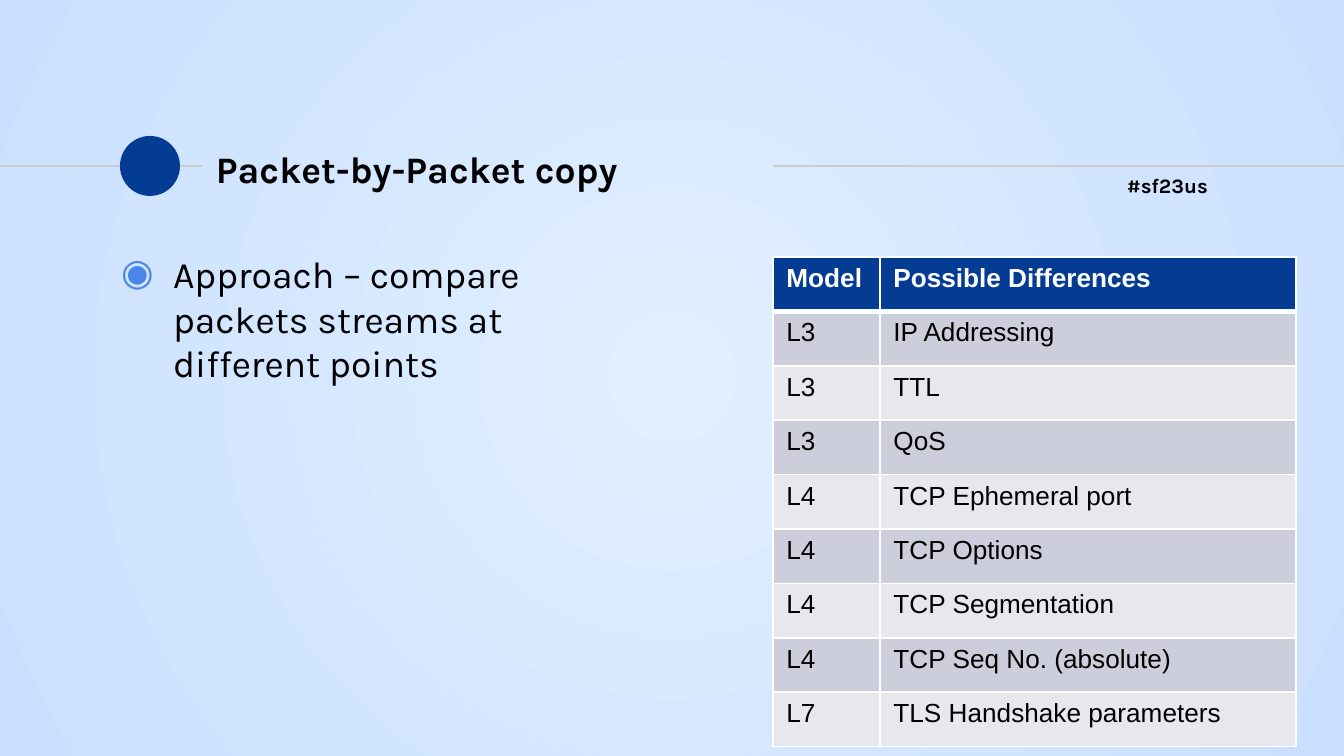
"""Builds the packet-by-packet comparison slide."""
from lxml.etree import SubElement
from pptx import Presentation
from pptx.dml.color import RGBColor
from pptx.enum.shapes import MSO_CONNECTOR, MSO_SHAPE
from pptx.enum.text import MSO_ANCHOR
from pptx.oxml import parse_xml
from pptx.oxml.ns import nsdecls, qn
from pptx.util import Pt

COLORS = {
    "navy": "033C92", "black": "000000", "white": "FFFFFF", "rule": "CCCCCC",
    "bullet": "4A86E8", "odd": "CCCEDC", "even": "E7E8EE",
    "center": "E1F0FF", "edge": "C9DFFF",
}
SCALE = 914400 / 134.4
INSET = 13
DIFFERENCES = [
    ("Model", "Possible Differences"),
    ("L3", "IP Addressing"),
    ("L3", "TTL"),
    ("L3", "QoS"),
    ("L4", "TCP Ephemeral port"),
    ("L4", "TCP Options"),
    ("L4", "TCP Segmentation"),
    ("L4", "TCP Seq No. (absolute)"),
    ("L7", "TLS Handshake parameters"),
]


def px(length):
    return round(length * SCALE)


def rgb(name):
    return RGBColor.from_string(COLORS[name])


class SlideKit:
    def __init__(self, slide, font):
        self.slide = slide
        self.font = font

    def background(self, center, edge):
        fill = self.slide.background.fill
        fill.gradient()
        for stop, color, position in zip(fill.gradient_stops, (center, edge), (0, 1)):
            stop.color.rgb = rgb(color)
            stop.position = position
        linear = next(self.slide.element.iter(qn("a:lin")))
        linear.getparent().replace(linear, parse_xml(
            f'<a:path {nsdecls("a")} path="circle">'
            '<a:fillToRect l="50000" t="50000" r="50000" b="50000"/></a:path>'))

    def add_run(self, paragraph, text, size, color="black", bold=False, font=None):
        run = paragraph.add_run()
        run.text = text
        run.font.name = font or self.font
        run.font.size = Pt(size)
        run.font.bold = bold
        run.font.color.rgb = rgb(color)

    def text(self, box, text, size, bold=False, anchor=MSO_ANCHOR.TOP, bullet=None):
        frame = self.slide.shapes.add_textbox(*map(px, box)).text_frame
        frame.word_wrap = True
        frame.vertical_anchor = anchor
        frame.margin_left = frame.margin_right = px(INSET)
        frame.margin_top = frame.margin_bottom = px(INSET)
        paragraph = frame.paragraphs[0]
        if bullet:
            self.bullet(paragraph, bullet)
        self.add_run(paragraph, text, size, bold=bold)

    def bullet(self, paragraph, mark):
        properties = paragraph._p.get_or_add_pPr()
        properties.set("marL", str(px(67)))
        properties.set("indent", str(-px(52)))
        color = SubElement(properties, qn("a:buClr"))
        SubElement(color, qn("a:srgbClr"), val=COLORS["bullet"])
        SubElement(properties, qn("a:buFont"), typeface=self.font)
        SubElement(properties, qn("a:buChar"), char=mark)

    def rule(self, start, end, y):
        line = self.slide.shapes.add_connector(
            MSO_CONNECTOR.STRAIGHT, px(start), px(y), px(end), px(y))
        line.line.color.rgb = rgb("rule")
        line.line.width = Pt(0.75)
        SubElement(line._element.spPr, qn("a:effectLst"))

    def circle(self, left, top, size, color):
        dot = self.slide.shapes.add_shape(
            MSO_SHAPE.OVAL, px(left), px(top), px(size), px(size))
        dot.shadow.inherit = False
        dot.fill.solid()
        dot.fill.fore_color.rgb = rgb(color)
        dot.line.fill.background()

    def borders(self, cell, **widths):
        properties = cell._tc.get_or_add_tcPr()
        for side in "LRTB":
            width = Pt(widths.get(side, 1))
            properties.append(parse_xml(
                f'<a:ln{side} {nsdecls("a")} w="{width}"><a:solidFill>'
                f'<a:srgbClr val="{COLORS["white"]}"/></a:solidFill></a:ln{side}>'))

    def table(self, left, top, height, widths, rows):
        grid = self.slide.shapes.add_table(
            len(rows), len(widths), px(left), px(top), px(sum(widths)), px(height)).table
        for column, width in zip(grid.columns, widths):
            column.width = px(width)
        for r, row in enumerate(rows):
            header = r == 0
            fill = "navy" if header else ("even", "odd")[r % 2]
            edges = {0: {"B": 3}, 1: {"T": 3}}.get(r, {})
            for c, value in enumerate(row):
                cell = grid.cell(r, c)
                self.borders(cell, **edges)
                cell.fill.solid()
                cell.fill.fore_color.rgb = rgb(fill)
                self.add_run(cell.text_frame.paragraphs[0], value, 14,
                             "white" if header else "black", header, "Arial")


def main():
    deck = Presentation()
    deck.slide_width, deck.slide_height = px(1344), px(756)
    kit = SlideKit(deck.slides.add_slide(deck.slide_layouts[6]), "Karla")
    kit.background("center", "edge")
    kit.text((1114, 161, 151, 77), "#sf23us", 11, bold=True)
    kit.rule(0, 202, 166)
    kit.circle(120, 136, 60, "navy")
    kit.rule(773, 1344, 166)
    kit.text((203, 136, 570, 65), "Packet-by-Packet copy", 20, bold=True,
             anchor=MSO_ANCHOR.MIDDLE)
    kit.text((93, 238, 524, 474),
             "Approach – compare packets streams at different points", 20, bullet="◉")
    kit.table(773, 257, 490, (107, 416), DIFFERENCES)
    deck.save("out.pptx")


if __name__ == "__main__":
    main()
